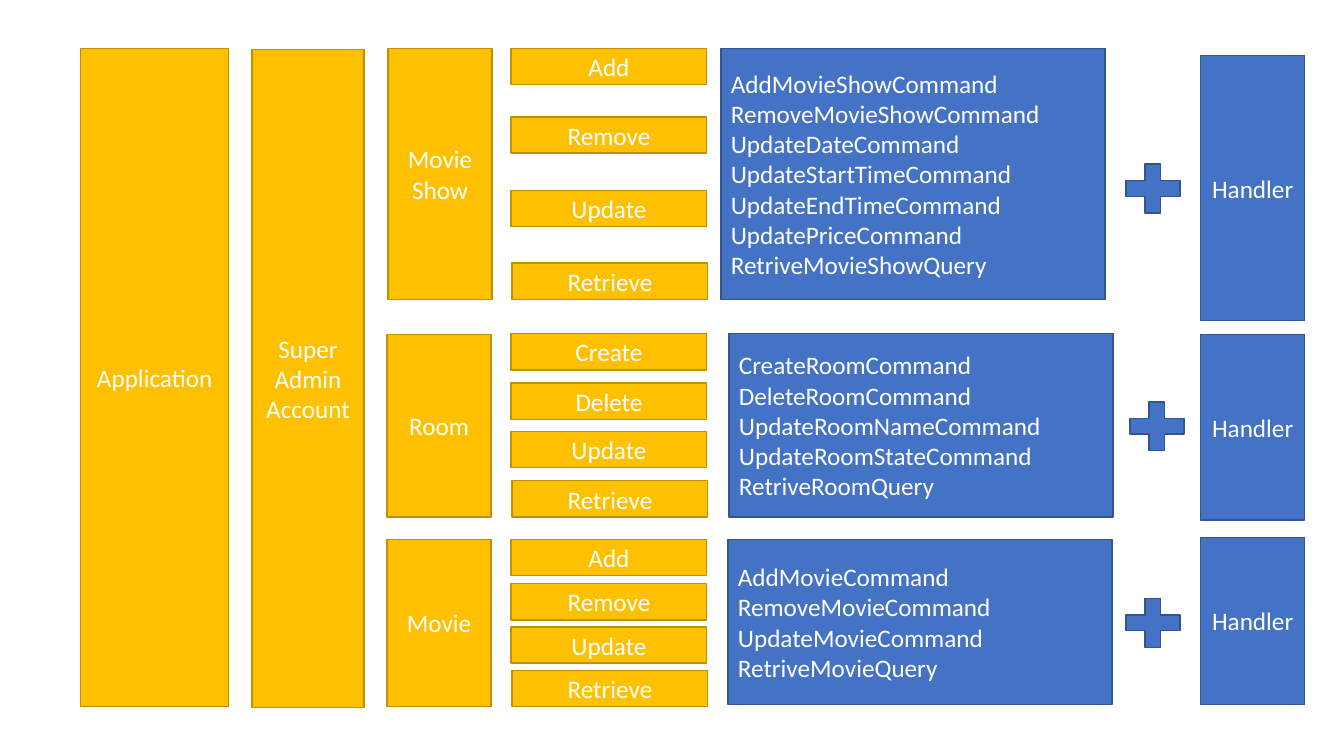
from pptx import Presentation
from pptx.dml.color import RGBColor
from pptx.enum import shapes, text
from pptx.util import Inches, Pt

GOLD = RGBColor(0xFF, 0xC0, 0x00)
GOLD_EDGE = RGBColor(0xBF, 0x90, 0x00)
BLUE = RGBColor(0x44, 0x72, 0xC4)
BLUE_EDGE = RGBColor(0x32, 0x54, 0x91)
WHITE = RGBColor(0xFF, 0xFF, 0xFF)
RECT = shapes.MSO_SHAPE.RECTANGLE
PLUS = shapes.MSO_SHAPE.MATH_PLUS
CENTER = text.PP_ALIGN.CENTER
LEFT = text.PP_ALIGN.LEFT

prs = Presentation()
prs.slide_width, prs.slide_height = Inches(13.33), Inches(7.5)
slide = prs.slides.add_slide(prs.slide_layouts[6])


def add_block(kind, box, fill, edge, lines=(), align=CENTER):
    block = slide.shapes.add_shape(kind, *[Inches(v) for v in box])
    block.shadow.inherit = False
    block.fill.solid()
    block.fill.fore_color.rgb = fill
    block.line.color.rgb = edge
    block.line.width = Pt(1)
    frame = block.text_frame
    frame.word_wrap = True
    frame.vertical_anchor = text.MSO_ANCHOR.MIDDLE
    for i, line in enumerate(lines):
        paragraph = frame.add_paragraph() if i else frame.paragraphs[0]
        paragraph.text = line
        paragraph.alignment = align
        paragraph.font.name = "Calibri"
        paragraph.font.size = Pt(18)
        paragraph.font.color.rgb = WHITE


# Application and account columns
add_block(RECT, (0.8, 0.48, 1.47, 6.53), GOLD, GOLD_EDGE, ["Application"])
add_block(RECT, (2.5, 0.49, 1.11, 6.53), GOLD, GOLD_EDGE, ["Super Admin Account"])

# Each entity: name and box, actions with their tops, commands and box,
# plus sign position, handler top and height
entities = [
    ("Movie Show", (3.85, 0.48, 1.03, 2.49),
     {"Add": 0.48, "Remove": 1.16, "Update": 1.89, "Retrieve": 2.61},
     ["AddMovieShowCommand", "RemoveMovieShowCommand", "UpdateDateCommand",
      "UpdateStartTimeCommand", "UpdateEndTimeCommand", "UpdatePriceCommand",
      "RetriveMovieShowQuery"],
     (7.15, 0.48, 3.81, 2.49), (11.07, 1.54), (0.55, 2.63)),
    ("Room", (3.84, 3.32, 1.03, 1.81),
     {"Create": 3.31, "Delete": 3.8, "Update": 4.28, "Retrieve": 4.77},
     ["CreateRoomCommand", "DeleteRoomCommand", "UpdateRoomNameCommand",
      "UpdateRoomStateCommand", "RetriveRoomQuery"],
     (7.23, 3.31, 3.81, 1.82), (11.11, 3.9), (3.32, 1.84)),
    ("Movie", (3.84, 5.35, 1.03, 1.66),
     {"Add": 5.35, "Remove": 5.79, "Update": 6.22, "Retrieve": 6.65},
     ["AddMovieCommand", "RemoveMovieCommand", "UpdateMovieCommand",
      "RetriveMovieQuery"],
     (7.22, 5.35, 3.81, 1.64), (11.07, 5.85), (5.33, 1.66)),
]

for entity, entity_box, actions, commands, commands_box, plus_at, handler in entities:
    add_block(RECT, entity_box, GOLD, GOLD_EDGE, [entity])
    for action, top in actions.items():
        left = 5.08 if action == "Retrieve" else 5.07
        add_block(RECT, (left, top, 1.94, 0.36), GOLD, GOLD_EDGE, [action])
    add_block(RECT, commands_box, BLUE, BLUE_EDGE, commands, LEFT)
    add_block(PLUS, (*plus_at, 0.73, 0.66), BLUE, BLUE_EDGE)
    handler_top, handler_height = handler
    add_block(RECT, (11.91, handler_top, 1.03, handler_height), BLUE, BLUE_EDGE, ["Handler"])

prs.save("out.pptx")
